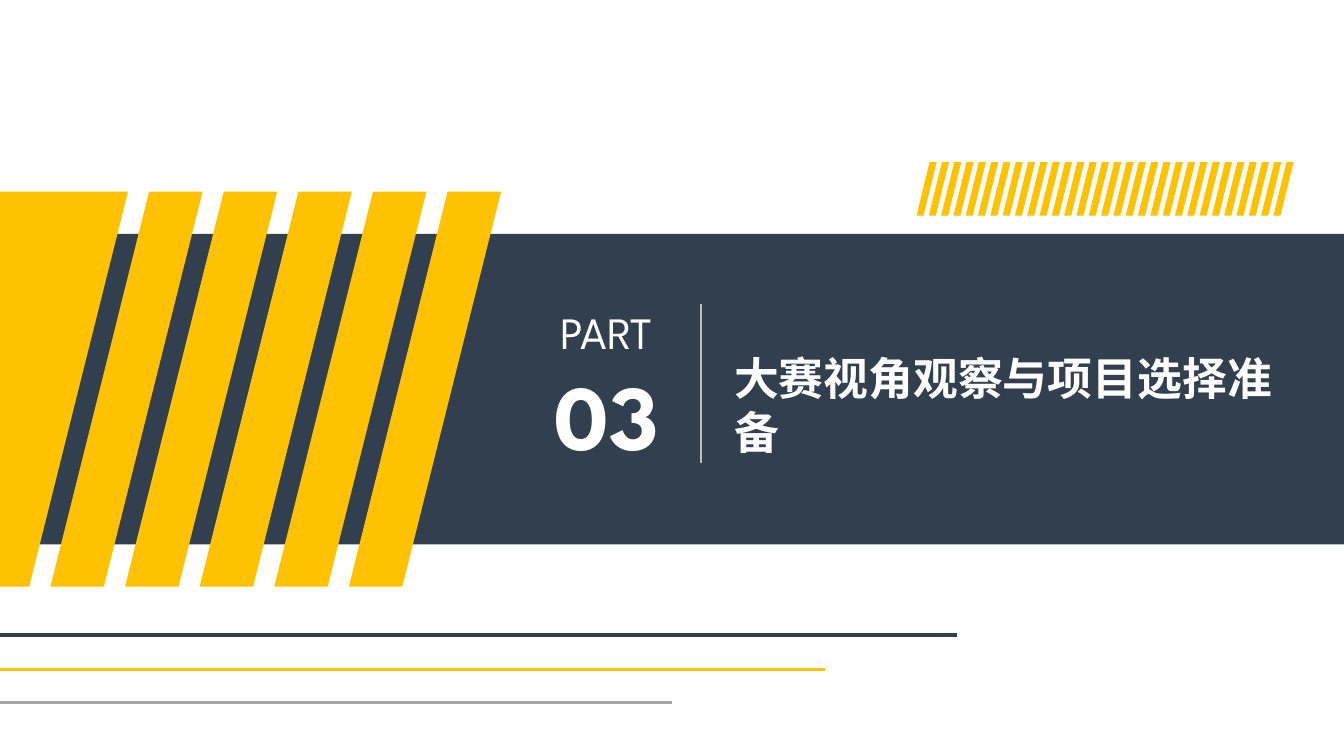
from lxml import etree
from pptx import Presentation
from pptx.dml.color import RGBColor
from pptx.enum.shapes import MSO_CONNECTOR, MSO_SHAPE
from pptx.enum.text import MSO_ANCHOR, MSO_AUTO_SIZE, PP_ALIGN
from pptx.oxml.ns import qn
from pptx.util import Inches, Pt

NAVY, YELLOW, GREY, WHITE = "323F4F", "FFC200", "A6A6A6", "FFFFFF"


def paint(color_format, color):
    color_format.rgb = RGBColor.from_string(color)


def write(paragraph, text, *, font, size, bold=False, align=PP_ALIGN.LEFT):
    paragraph.alignment = align
    run = paragraph.add_run()
    run.text = text
    run.font.name = font
    run.font.size = Pt(size)
    run.font.bold = bold
    paint(run.font.color, WHITE)
    east_asian = etree.SubElement(run.font._element, qn("a:ea"))
    east_asian.set("typeface", font)


prs = Presentation()
prs.slide_width, prs.slide_height = Inches(13.33), Inches(7.5)
slide = prs.slides.add_slide(prs.slide_layouts[5])
shapes = slide.shapes

# Dark band
band = shapes.add_shape(MSO_SHAPE.RECTANGLE, 0, Inches(2.32), Inches(13.33), Inches(3.08))
band.shadow.inherit = False
band.fill.solid()
paint(band.fill.fore_color, NAVY)
band.line.fill.background()

# Slanted stripes: bottom left, top, bar width, height, slant
stripes = [(0.5 + 0.74 * i, 1.9, 0.53, 3.92, 0.98) for i in range(5)]
stripes.append((-1.13, 1.9, 1.42, 3.92, 0.98))
stripes += [(9.09 + 3.54 / 29 * i, 1.61, 0.07, 0.53, 0.13) for i in range(30)]
for left, top, width, height, slant in stripes:
    bottom = top + height
    outline = shapes.build_freeform(Inches(left + slant), Inches(top))
    outline.add_line_segments([
        (Inches(left + slant + width), Inches(top)),
        (Inches(left + width), Inches(bottom)),
        (Inches(left), Inches(bottom)),
    ])
    stripe = outline.convert_to_shape()
    stripe.shadow.inherit = False
    stripe.fill.solid()
    paint(stripe.fill.fore_color, YELLOW)
    stripe.line.fill.background()

# Lower rules and the divider beside the part number
for x1, y1, x2, y2, color, weight in [
    (0, 6.3, 9.49, 6.3, NAVY, 2.25),
    (0, 6.64, 8.18, 6.64, YELLOW, 2.25),
    (0, 6.97, 6.67, 6.97, GREY, 2.25),
    (6.95, 3.02, 6.95, 4.59, "BFBFBF", 1.5),
]:
    rule = shapes.add_connector(
        MSO_CONNECTOR.STRAIGHT, Inches(x1), Inches(y1), Inches(x2), Inches(y2))
    paint(rule.line.color, color)
    rule.line.width = Pt(weight)
    etree.SubElement(rule._element.spPr, qn("a:effectLst"))

# Part number
part = shapes.add_textbox(Inches(5.39), Inches(2.97), Inches(1.26), Inches(1.75)).text_frame
part.word_wrap = False
write(part.paragraphs[0], "PART", font="League Spartan", size=32, align=PP_ALIGN.CENTER)
write(part.add_paragraph(), "03", font="League Spartan", size=66, bold=True,
      align=PP_ALIGN.CENTER)

# Section title, brought in front of the band
title = shapes.title
title.left, title.top = Inches(7.18), Inches(3.43)
title.width, title.height = Inches(5.95), Inches(0.64)
heading = title.text_frame
heading.word_wrap = True
heading.auto_size = MSO_AUTO_SIZE.NONE
heading.vertical_anchor = MSO_ANCHOR.TOP
write(heading.paragraphs[0], "大赛视角观察与项目选择准备", font="Noto Sans CJK SC",
      size=32, bold=True)
shapes._spTree.append(title._element)

prs.save("out.pptx")
